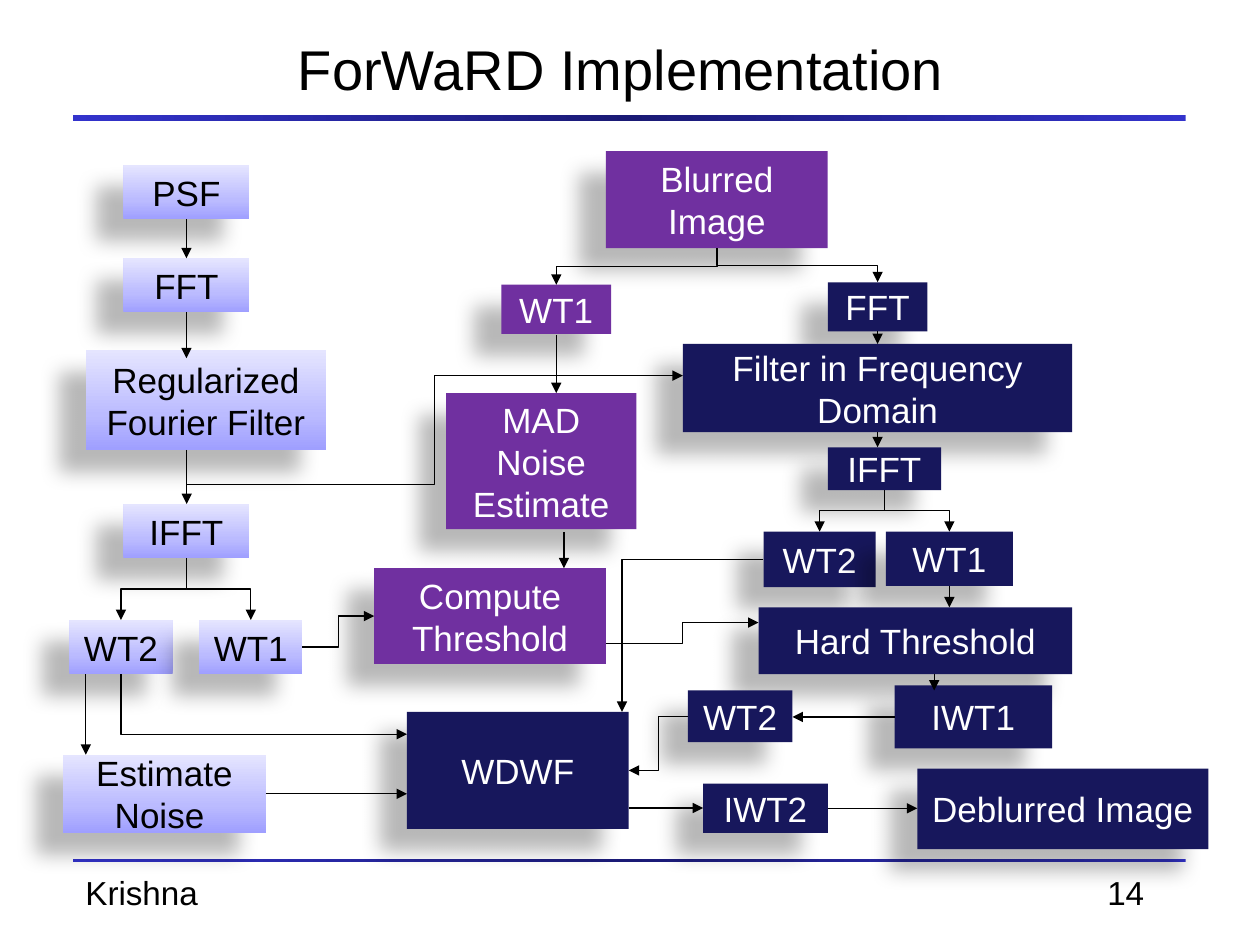
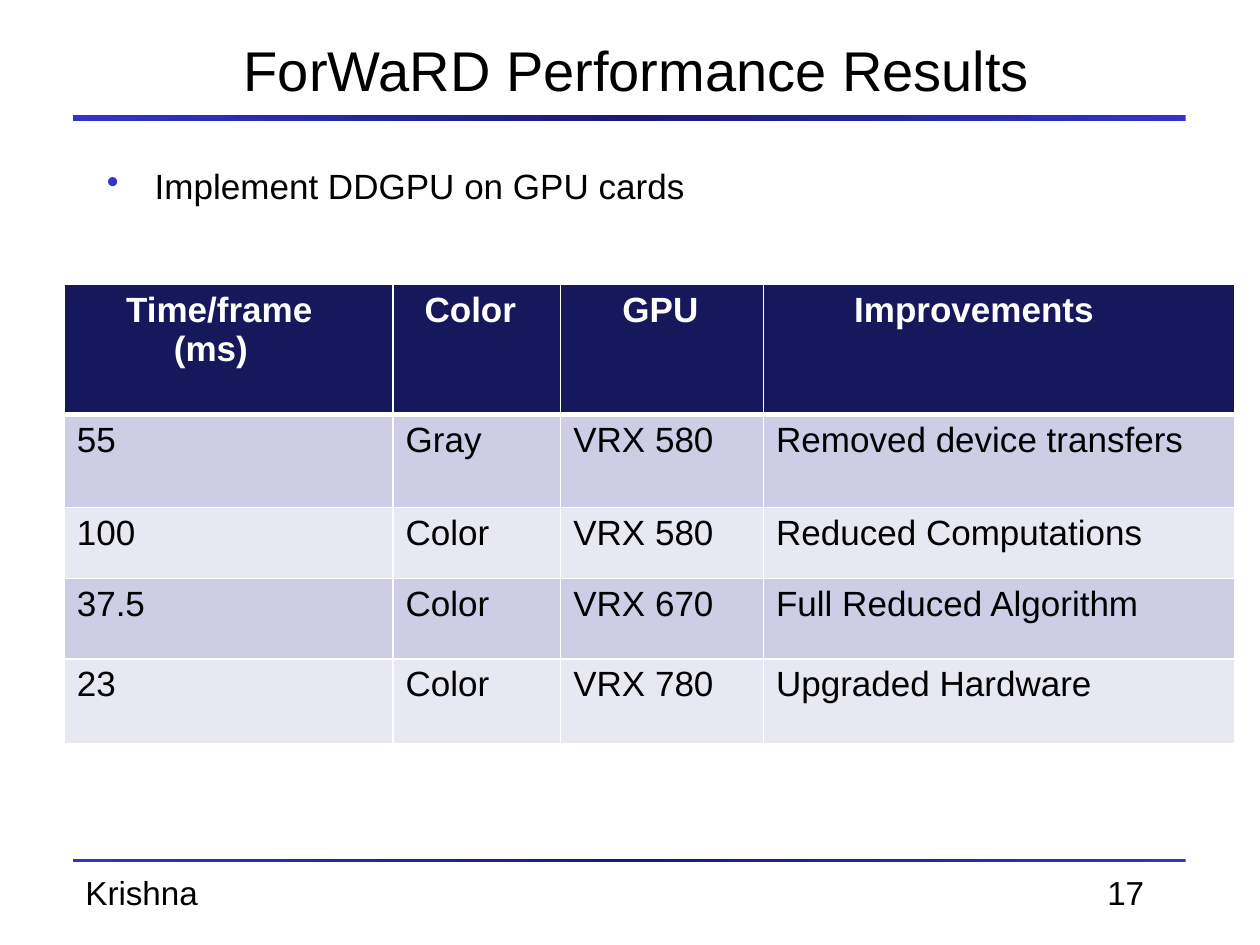
import dataclasses

import lxml.etree
import pptx
import pptx.dml.color
import pptx.enum.shapes
import pptx.enum.text
import pptx.oxml.ns
import pptx.util


@dataclasses.dataclass(frozen=True)
class Theme:
    font: str = "Arial"
    black: str = "000000"
    white: str = "FFFFFF"
    navy: str = "17175C"
    purple: str = "7030A0"
    bullet: str = "3333CC"
    rule: tuple = ((0, "3333CC"), (50, "1A1A75"), (100, "3333CC"))
    lilac: tuple = ((0, "9F9FFF"), (35, "BBBBFF"), (100, "E5E5FF"))
    bands: tuple = ("CDCDE6", "E8E8F3")
    title_size: int = 32
    text_size: int = 20
    footer_size: int = 19


theme = Theme()
color = pptx.dml.color.RGBColor.from_string
qn = pptx.oxml.ns.qn
Pt = pptx.util.Pt
MIDDLE = pptx.enum.text.MSO_ANCHOR.MIDDLE
LEFT, CENTER = pptx.enum.text.PP_ALIGN.LEFT, pptx.enum.text.PP_ALIGN.CENTER
RECTANGLE = pptx.enum.shapes.MSO_SHAPE.RECTANGLE
CONNECTOR = pptx.enum.shapes.MSO_CONNECTOR

presentation = pptx.Presentation()
presentation.slide_width = pptx.util.Inches(10)
presentation.slide_height = pptx.util.Inches(7.5)

# Grid of 100 columns by 75 rows; its cells are square
CELL = presentation.slide_width / 100


def set_text(text_frame, text, size, font_color, align=LEFT, bold=False):
    text_frame.word_wrap = True
    text_frame.text = text
    for paragraph in text_frame.paragraphs:
        paragraph.alignment = align
        for run in paragraph.runs:
            run.font.name = theme.font
            run.font.size = Pt(size)
            run.font.bold = bold
            run.font.color.rgb = color(font_color)


def add_rectangle(slide, area, fill, angle=0):
    shape = slide.shapes.add_shape(RECTANGLE, *(round(n * CELL) for n in area))
    shape.shadow.inherit = False
    shape.line.fill.background()
    if isinstance(fill, str):
        shape.fill.solid()
        shape.fill.fore_color.rgb = color(fill)
        return shape
    shape.fill.gradient()
    shape.fill.gradient_angle = angle
    stops = shape._element.spPr.find(".//" + qn("a:gsLst"))
    for stop in list(stops):
        stops.remove(stop)
    for position, stop_color in fill:
        stop = lxml.etree.SubElement(stops, qn("a:gs"), pos=str(position * 1000))
        lxml.etree.SubElement(stop, qn("a:srgbClr"), val=stop_color)
    return shape


# Title, rules and footer of both slides
slides = []
for title, title_area, number in (
    ("ForWaRD Implementation ", (7.4, 0.8, 85, 9.2), "14"),
    ("ForWaRD Performance Results", (5.1, 0.9, 90.9, 9.2), "17"),
):
    slide = presentation.slides.add_slide(presentation.slide_layouts[6])
    add_rectangle(slide, (5.8, 9.1, 88.3, 0.5), theme.rule)
    add_rectangle(slide, (5.8, 68.2, 88.3, 0.2), theme.rule)
    for text, area, size, align in (
        ("Krishna", (5.8, 68.7, 27.7, 4.2), theme.footer_size, LEFT),
        (number, (86.9, 68.7, 7.3, 4.2), theme.footer_size, LEFT),
        (title, title_area, theme.title_size, CENTER),
    ):
        text_box = slide.shapes.add_textbox(*(round(n * CELL) for n in area))
        text_box.text_frame.vertical_anchor = MIDDLE
        set_text(text_box.text_frame, text, size, theme.black, align)
    slides.append(slide)
flow_slide, results_slide = slides

# Flowchart boxes: label, left, top, width, height
boxes = {
    "fft": ("FFT", 65.7, 22.4, 7.9, 3.9),
    "wt1": ("WT1", 39.8, 22.6, 8.7, 3.9),
    "psf": ("PSF", 9.8, 13.1, 10, 4.3),
    "psf_fft": ("FFT", 9.8, 20.5, 10, 4.3),
    "regularized": ("Regularized Fourier Filter", 6.8, 27.8, 19.1, 7.9),
    "psf_ifft": ("IFFT", 9.8, 40, 10, 4.3),
    "psf_wt2": ("WT2", 5.5, 49.2, 8.2, 4.3),
    "psf_wt1": ("WT1", 15.8, 49.2, 8.2, 4.3),
    "estimate": ("Estimate Noise ", 5, 59.9, 16.1, 6.2),
    "blurred": ("Blurred Image", 48.1, 12, 17.6, 7.7),
    "filter": ("Filter in Frequency Domain", 54.2, 27.3, 30.9, 7),
    "ifft": ("IFFT", 65.7, 35.5, 9, 3.4),
    "filtered_wt2": ("WT2", 60.6, 42.2, 8.9, 4.4),
    "filtered_wt1": ("WT1", 70.3, 42.2, 10.1, 4.3),
    "hard": ("Hard Threshold", 60.2, 48.2, 24.9, 5.3),
    "iwt1": ("IWT1", 71, 54.4, 12.5, 5),
    "hard_wt2": ("WT2", 54.6, 54.8, 8.3, 4.1),
    "wdwf": ("WDWF", 32.3, 56.5, 17.6, 9.3),
    "deblurred": ("Deblurred Image", 72.8, 61, 23.1, 6.4),
    "compute": ("Compute\nThreshold", 29.7, 45.1, 18.4, 7.6),
    "mad": ("MAD Noise Estimate", 35.4, 31.2, 15.1, 10.8),
    "iwt2": ("IWT2", 55.8, 62.2, 9.9, 3.9),
}
lilac_boxes = {"psf", "psf_fft", "regularized", "psf_ifft", "psf_wt2", "psf_wt1", "estimate"}
purple_boxes = {"wt1", "blurred", "compute", "mad"}
for name, (label, *area) in boxes.items():
    fill, font_color = theme.navy, theme.white
    if name in lilac_boxes:
        fill, font_color = theme.lilac, theme.black
    elif name in purple_boxes:
        fill = theme.purple
    shape = add_rectangle(flow_slide, area, fill, angle=90)
    shape.text_frame.vertical_anchor = MIDDLE
    set_text(shape.text_frame, label, theme.text_size, font_color, CENTER)
    shadow = lxml.etree.SubElement(
        shape._element.spPr.find(qn("a:effectLst")), qn("a:outerShdw"),
        blurRad=str(Pt(11.8)), dist=str(Pt(19.7)), dir=str(141 * 60000),
        algn="ctr", rotWithShape="0")
    shadow_color = lxml.etree.SubElement(shadow, qn("a:srgbClr"), val=theme.black)
    lxml.etree.SubElement(shadow_color, qn("a:alpha"), val="28000")

# Arrows by line width: box and shares of its size at each end, then the route
arrows = {
    0.75: (
        ("psf", 0.5, 1, "psf_fft", 0.5, 0, "down"),
        ("psf_fft", 0.5, 1, "regularized", 0.42, 0.08, "down"),
        ("regularized", 0.42, 1, "psf_ifft", 0.5, 0, "down"),
        ("regularized", 0.42, 1.35, "filter", 0, 0.36, "across step"),
        ("psf_ifft", 0.5, 1, "psf_wt2", 0.5, 0, "down step"),
        ("psf_ifft", 0.5, 1, "psf_wt1", 0.5, 0, "down step"),
        ("psf_wt2", 0.16, 1, "estimate", 0.11, 0, "down"),
        ("psf_wt2", 0.5, 1, "wdwf", 0, 0.19, "down corner"),
        ("estimate", 1, 0.5, "wdwf", 0, 0.7, "across"),
        ("psf_wt1", 1, 0.5, "compute", 0, 0.5, "across step"),
        ("blurred", 0.5, 1, "fft", 0.5, 0, "down step"),
        ("wt1", 0.5, 1.02, "mad", 0.58, 0, "down"),
        ("mad", 0.62, 1.02, "compute", 0.82, 0, "down"),
        ("compute", 1, 0.79, "hard", 0, 0.23, "across step"),
        ("filter", 0.5, 1, "ifft", 0.43, 0, "down"),
        ("filtered_wt2", 0, 0.5, "wdwf", 0.97, 0, "across corner"),
        ("filtered_wt1", 0.5, 1, "hard", 0.6, 0, "down"),
        ("iwt1", 0, 0.5, "hard_wt2", 1, 0.5, "across"),
        ("hard_wt2", 0, 0.5, "wdwf", 1, 0.5, "across step"),
        ("wdwf", 1, 0.82, "iwt2", 0, 0.5, "across"),
    ),
    0.5: (
        ("blurred", 0.5, 1, "wt1", 0.5, 0, "down step"),
        ("fft", 0.5, 1, "filter", 0.5, 0, "down"),
        ("ifft", 0.5, 1, "filtered_wt2", 0.5, 0, "down step"),
        ("ifft", 0.5, 1, "filtered_wt1", 0.5, 0, "down step"),
        ("hard", 0.56, 1, "iwt1", 0.25, 0.08, "down"),
        ("iwt2", 1, 0.5, "deblurred", 0, 0.5, "across"),
    ),
}
for width, group in arrows.items():
    for source, source_x, source_y, target, target_x, target_y, route in group:
        _, left, top, box_width, box_height = boxes[source]
        x1, y1 = left + source_x * box_width, top + source_y * box_height
        _, left, top, box_width, box_height = boxes[target]
        x2, y2 = left + target_x * box_width, top + target_y * box_height
        direction, *bend = route.split()
        kind, rotation = CONNECTOR.ELBOW, 0
        if not bend:
            kind = CONNECTOR.STRAIGHT
            if direction == "down":
                x2 = x1
            else:
                y2 = y1
        elif direction == "down":
            # A connector that leaves downwards is a sideways one turned about its centre
            rotation = 90 if x2 < x1 else 270
            sign = 1 if x2 < x1 else -1
            middle_x, middle_y = (x1 + x2) / 2, (y1 + y2) / 2
            half_width, half_height = sign * (y2 - y1) / 2, abs(x2 - x1) / 2
            x1, x2 = middle_x - half_width, middle_x + half_width
            y1, y2 = middle_y - half_height, middle_y + half_height
        arrow = flow_slide.shapes.add_connector(
            kind, *(round(n * CELL) for n in (x1, y1, x2, y2)))
        arrow.line.width = Pt(width)
        arrow.line.color.rgb = color(theme.black)
        properties = arrow._element.spPr
        if rotation:
            properties.find(qn("a:xfrm")).set("rot", str(rotation * 60000))
        if bend == ["corner"]:
            properties.find(qn("a:prstGeom")).set("prst", "bentConnector2")
        lxml.etree.SubElement(properties.find(qn("a:ln")), qn("a:tailEnd"), type="triangle")
        lxml.etree.SubElement(properties, qn("a:effectLst"))

# Bullet above the results
body = results_slide.shapes.add_textbox(*(round(n * CELL) for n in (7.5, 12.6, 85, 53.1)))
set_text(body.text_frame, "Implement DDGPU on GPU cards", theme.text_size, theme.black)
paragraph = body.text_frame.paragraphs[0]
paragraph.space_before = Pt(4)
properties = paragraph._p.get_or_add_pPr()
indent = round(3.8 * CELL)
properties.set("marL", str(indent))
properties.set("indent", str(-indent))
bullet_color = lxml.etree.SubElement(properties, qn("a:buClr"))
lxml.etree.SubElement(bullet_color, qn("a:srgbClr"), val=theme.bullet)
lxml.etree.SubElement(properties, qn("a:buChar"), char="•")

# Results table
rows = (
    ("Time/frame\n(ms)", "Color", "GPU", "Improvements"),
    ("55", "Gray", "VRX 580", "Removed device transfers"),
    ("100", "Color", "VRX 580", "Reduced Computations"),
    ("37.5", "Color", "VRX 670", "Full Reduced Algorithm"),
    ("23", "Color", "VRX 780", "Upgraded Hardware"),
)
header_indents = ((3.9, 7.7), (1.5,), (3.9,), (6.2,))
column_widths = (26.1, 13.3, 16.1, 37.4)
row_heights = (10.3, 7.4, 5.6, 6.4, 6.7)
area = (5.1, 22.6, sum(column_widths), sum(row_heights))
table = results_slide.shapes.add_table(
    len(rows), len(column_widths), *(round(n * CELL) for n in area)).table
for column, column_width in zip(table.columns, column_widths):
    column.width = round(column_width * CELL)
for row_index, (row, row_height) in enumerate(zip(rows, row_heights)):
    table.rows[row_index].height = round(row_height * CELL)
    header = row_index == 0
    for column_index, text in enumerate(row):
        cell = table.cell(row_index, column_index)
        set_text(cell.text_frame, text, theme.text_size,
                 theme.white if header else theme.black, bold=header)
        if header:
            for paragraph, indent in zip(cell.text_frame.paragraphs, header_indents[column_index]):
                paragraph._p.get_or_add_pPr().set("marL", str(round(indent * CELL)))
        cell.fill.solid()
        cell.fill.fore_color.rgb = color(theme.navy if header else theme.bands[(row_index - 1) % 2])
        heavy_side = {0: "lnB", 1: "lnT"}.get(row_index)
        for position, side in enumerate(("lnL", "lnR", "lnT", "lnB")):
            border = lxml.etree.Element(
                qn("a:" + side), w=str(Pt(3 if side == heavy_side else 1)))
            border_fill = lxml.etree.SubElement(border, qn("a:solidFill"))
            lxml.etree.SubElement(border_fill, qn("a:srgbClr"), val=theme.white)
            cell._tc.get_or_add_tcPr().insert(position, border)

presentation.save("out.pptx")
